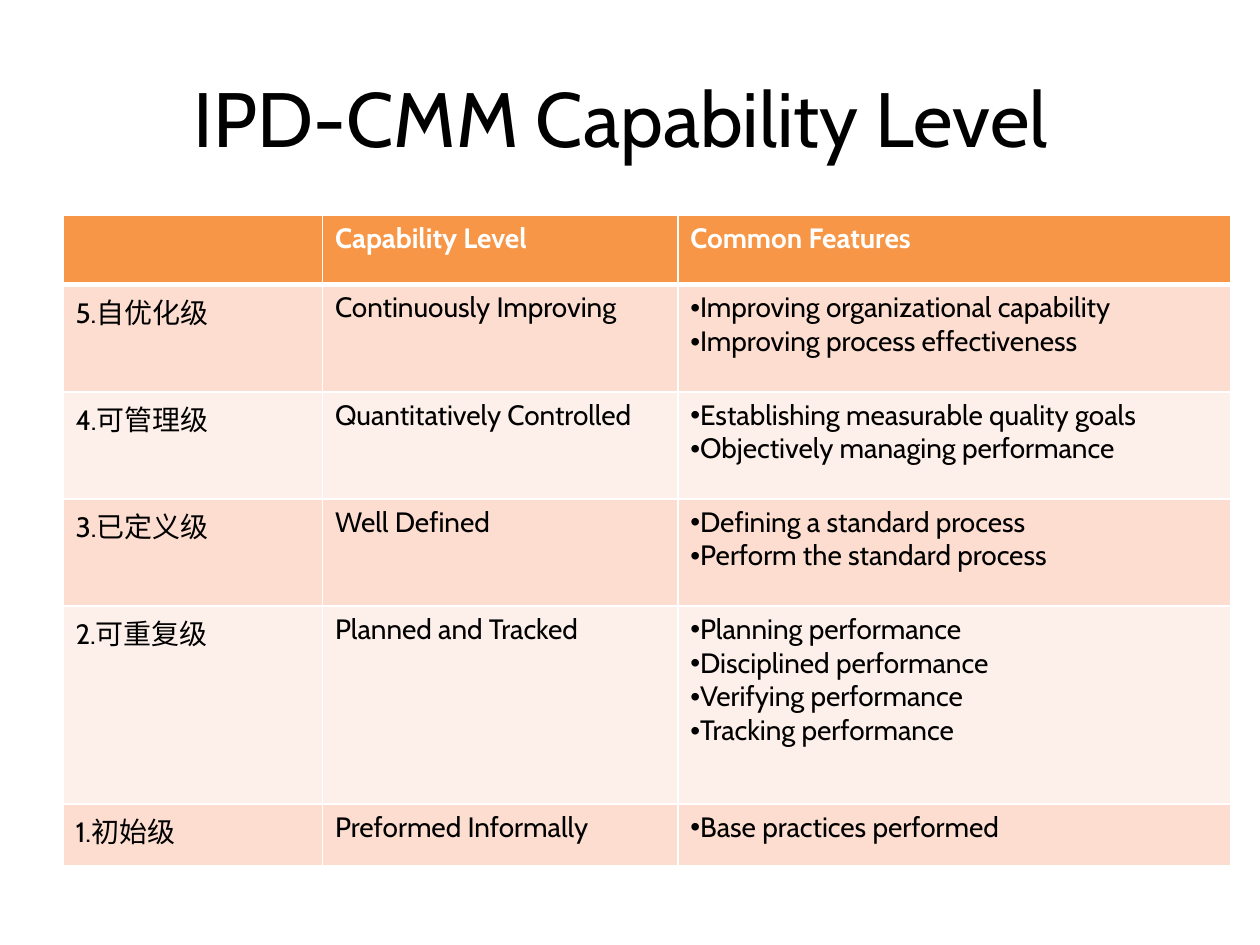
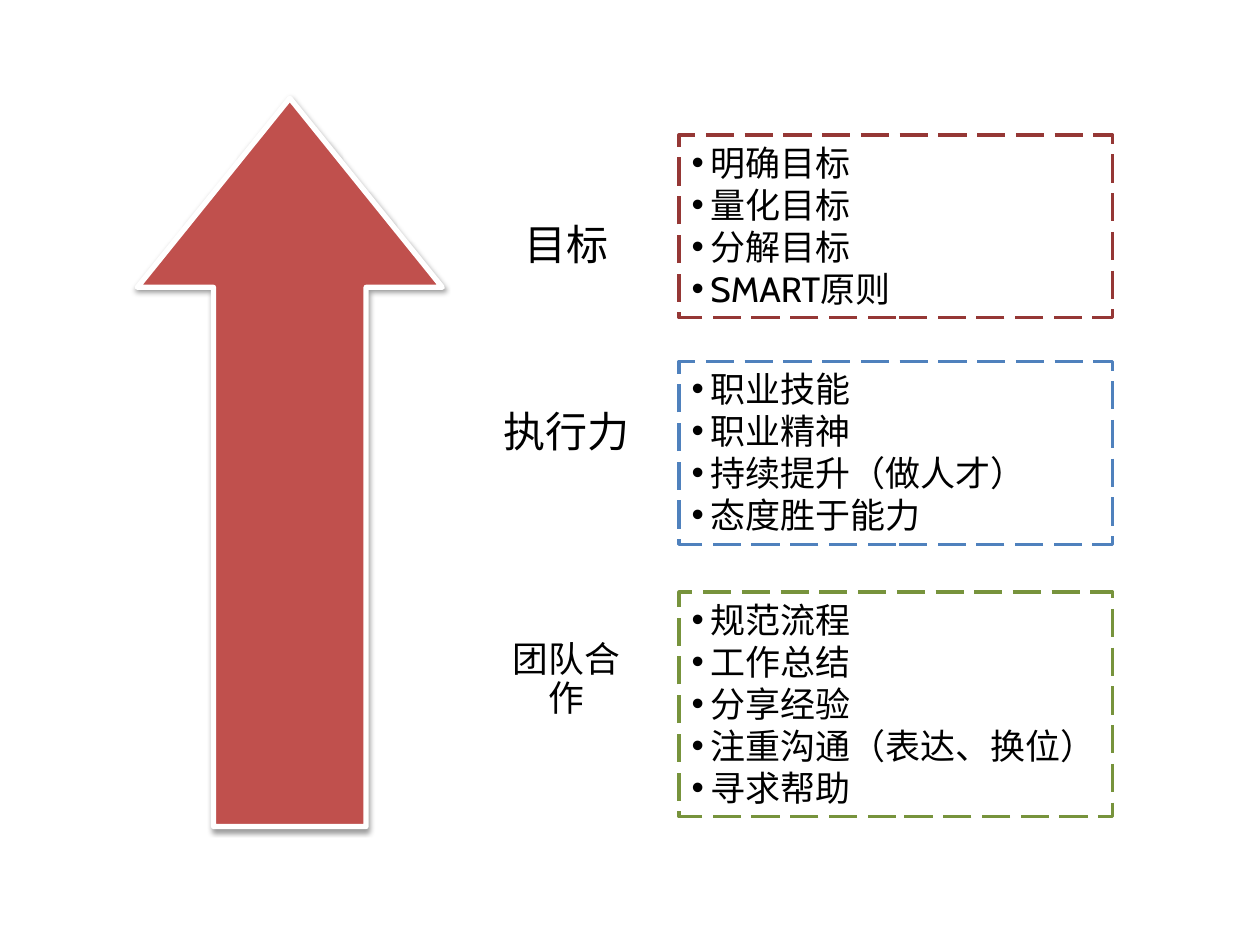
from lxml.etree import SubElement
from pptx import Presentation
from pptx.dml.color import RGBColor
from pptx.enum.dml import MSO_LINE_DASH_STYLE as Dash
from pptx.enum.shapes import MSO_SHAPE as Shape
from pptx.enum.text import MSO_ANCHOR as Anchor, MSO_AUTO_SIZE as AutoSize, PP_ALIGN as Align
from pptx.oxml.ns import qn
from pptx.util import Inches, Pt

COLORS = {
    "white": "FFFFFF", "black": "000000", "header": "F79646",
    "odd row": "FCDDCF", "even row": "FDEFE9", "arrow": "C0504D",
    "goal": "953735", "execution": "4F81BD", "teamwork": "77933C",
}
LEVELS = [
    ("5.自优化级", "Continuously Improving",
     ["Improving organizational capability", "Improving process effectiveness"]),
    ("4.可管理级", "Quantitatively Controlled",
     ["Establishing measurable quality goals", "Objectively managing performance"]),
    ("3.已定义级", "Well Defined",
     ["Defining a standard process", "Perform the standard process"]),
    ("2.可重复级", "Planned and Tracked",
     ["Planning performance", "Disciplined performance",
      "Verifying performance", "Tracking performance"]),
    ("1.初始级", "Preformed Informally", ["Base practices performed"]),
]
THEMES = [
    ("goal", "目标", 16.2, 24, None, 10.7, 14.5,
     ["明确目标", "量化目标", "分解目标", "SMART原则"]),
    ("execution", "执行力", 31.1, 24, None, 28.7, 14.5,
     ["职业技能", "职业精神", "持续提升（做人才）", "态度胜于能力"]),
    ("teamwork", "团队合作", 50.9, 20.4, 0.9, 47, 17.8,
     ["规范流程", "工作总结", "分享经验", "注重沟通（表达、换位）", "寻求帮助"]),
]


class Deck:
    font = "Cabin"
    columns, rows = 100, 75

    def __init__(self):
        self.presentation = Presentation()
        self.presentation.slide_width = Inches(10)
        self.presentation.slide_height = Inches(7.5)
        self.slide = None

    def new_slide(self):
        self.slide = self.presentation.slides.add_slide(self.presentation.slide_layouts[6])

    def across(self, count):
        return round(self.presentation.slide_width * count / self.columns)

    def down(self, count):
        return round(self.presentation.slide_height * count / self.rows)

    def place(self, left, top, width, height):
        return self.across(left), self.down(top), self.across(width), self.down(height)

    def color(self, name):
        return RGBColor.from_string(COLORS[name])

    def set_text(self, text_frame, lines, size, color="black", bold=False,
                 align=Align.LEFT, bullet=False, hang=0, spacing=None):
        text_frame.text = "\n".join(lines)
        for paragraph in text_frame.paragraphs:
            paragraph.alignment = align
            if spacing:
                paragraph.line_spacing = spacing
            if bullet:
                properties = paragraph._p.get_or_add_pPr()
                properties.set("marL", str(self.across(hang)))
                properties.set("indent", str(-self.across(hang)))
                SubElement(properties, qn("a:buFont"), typeface="Arial")
                SubElement(properties, qn("a:buChar"), char="•")
            for run in paragraph.runs:
                run.font.name = self.font
                run.font.size = Pt(size)
                run.font.bold = bold
                run.font.color.rgb = self.color(color)

    def label(self, area, text, size, margin=1, spacing=None):
        text_frame = self.slide.shapes.add_textbox(*self.place(*area)).text_frame
        text_frame.word_wrap = True
        text_frame.vertical_anchor = Anchor.MIDDLE
        text_frame.margin_left = text_frame.margin_right = self.across(margin)
        self.set_text(text_frame, [text], size, align=Align.CENTER, spacing=spacing)

    def shape(self, kind, area, fill, line, weight):
        shape = self.slide.shapes.add_shape(kind, *self.place(*area))
        shape.shadow.inherit = False
        shape.fill.solid()
        shape.fill.fore_color.rgb = self.color(fill)
        shape.line.color.rgb = self.color(line)
        shape.line.width = Pt(weight)
        return shape

    def up_arrow(self, area, fill):
        arrow = self.shape(Shape.UP_ARROW, area, fill, "white", 3)
        arrow.adjustments[0], arrow.adjustments[1] = 0.5, 0.62
        effects = arrow._element.spPr.find(qn("a:effectLst"))
        shadow = SubElement(effects, qn("a:outerShdw"), blurRad=str(Pt(3.1)),
                            dist=str(Pt(1.6)), dir="5400000", rotWithShape="0")
        shade = SubElement(shadow, qn("a:srgbClr"), val=COLORS["black"])
        SubElement(shade, qn("a:alpha"), val="38000")

    def dashed_list(self, area, color, lines):
        box = self.shape(Shape.RECTANGLE, area, "white", color, 2)
        box.line.dash_style = Dash.LONG_DASH
        text_frame = box.text_frame
        text_frame.word_wrap = True
        text_frame.auto_size = AutoSize.SHAPE_TO_FIT_TEXT
        text_frame.vertical_anchor = Anchor.TOP
        self.set_text(text_frame, lines, 20, bullet=True, hang=1.5)

    def fill_cell(self, cell, fill, top, bottom):
        cell.fill.solid()
        cell.fill.fore_color.rgb = self.color(fill)
        properties = cell._tc.get_or_add_tcPr()
        borders = {"lnL": 1, "lnR": 1, "lnT": top, "lnB": bottom}
        for position, (side, weight) in enumerate(borders.items()):
            border = SubElement(properties, qn(f"a:{side}"), w=str(Pt(weight)))
            paint = SubElement(border, qn("a:solidFill"))
            SubElement(paint, qn("a:srgbClr"), val=COLORS["white"])
            properties.insert(position, border)

    def table(self, left, top, widths, heights, headings, records):
        area = self.place(left, top, sum(widths), sum(heights))
        table = self.slide.shapes.add_table(len(heights), len(widths), *area).table
        for column, width in zip(table.columns, widths):
            column.width = self.across(width)
        for row, height in zip(table.rows, heights):
            row.height = self.down(height)
        for cell, heading in zip(table.rows[0].cells, headings):
            self.fill_cell(cell, "header", 1, 3)
            self.set_text(cell.text_frame, [heading], 16, "white", bold=True)
        for number, record in enumerate(records, 1):
            fill = "odd row" if number % 2 else "even row"
            for cell, content in zip(table.rows[number].cells, record):
                self.fill_cell(cell, fill, 3 if number == 1 else 1, 1)
                bullet = isinstance(content, list)
                lines = content if bullet else [content]
                self.set_text(cell.text_frame, lines, 16, bullet=bullet)


def add_capability_levels(deck):
    deck.new_slide()
    deck.label((5, 3, 88.6, 12.5), "IPD-CMM Capability Level", 44)
    deck.table(5, 17.1, [20.6, 28.2, 43.9], [5.5, 8.5, 8.5, 8.5, 15.7, 4.9],
               ["", "Capability Level", "Common Features"], LEVELS)


def add_growth_themes(deck):
    deck.new_slide()
    deck.up_arrow((10.9, 7.8, 24.2, 57.8), "arrow")
    for color, name, name_top, size, spacing, box_top, box_height, points in THEMES:
        deck.dashed_list((53.9, box_top, 34.4, box_height), color, points)
        deck.label((38.3, name_top, 13.3, 6.2), name, size, margin=1.2, spacing=spacing)


def main():
    deck = Deck()
    add_capability_levels(deck)
    add_growth_themes(deck)
    deck.presentation.save("out.pptx")


if __name__ == "__main__":
    main()
